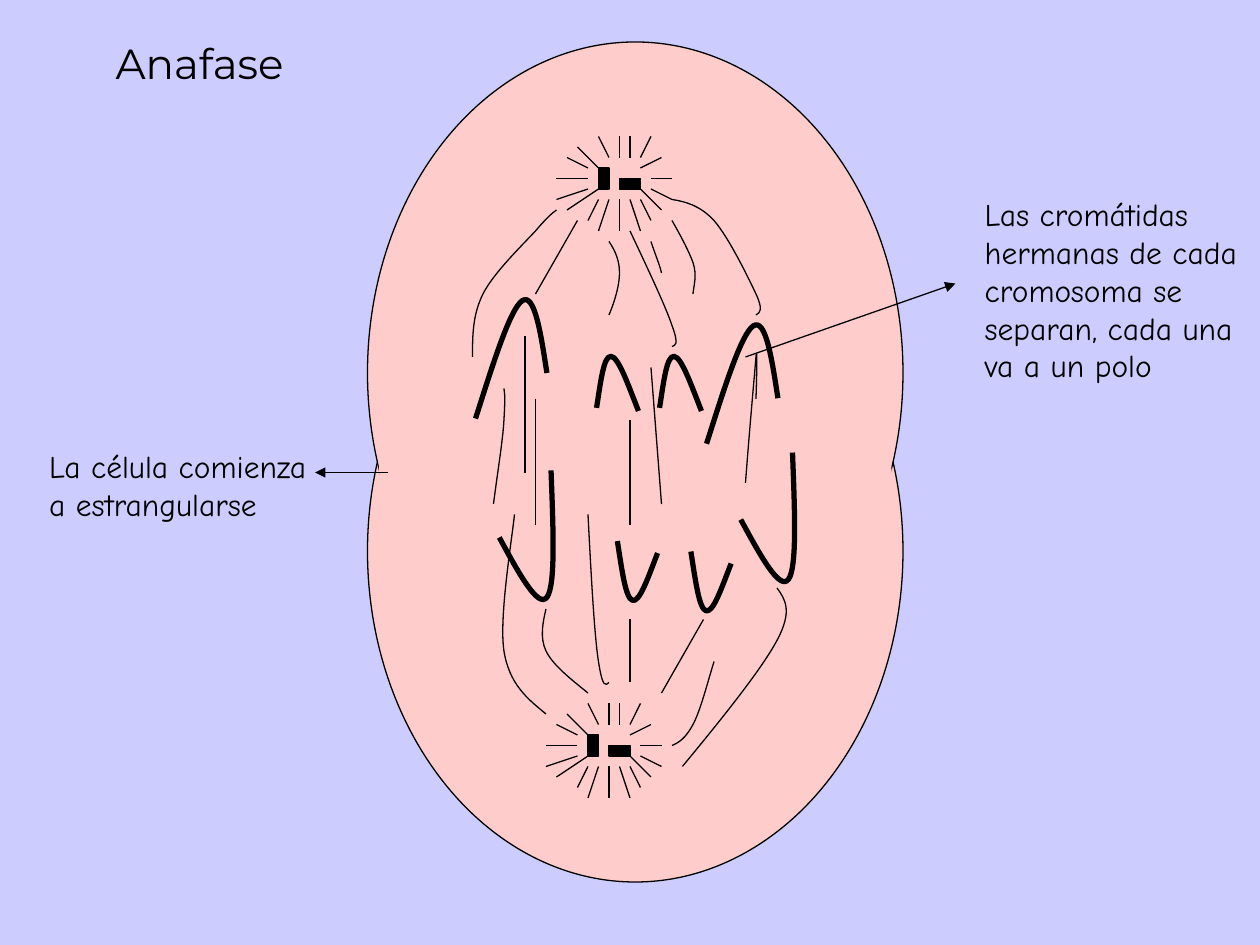
"""Builds a slide showing a cell in anaphase, with its spindle and labels."""
from typing import NamedTuple

from lxml.etree import Element, SubElement
from pptx import Presentation
from pptx.dml.color import RGBColor
from pptx.enum.shapes import MSO_CONNECTOR, MSO_SHAPE
from pptx.enum.text import MSO_AUTO_SIZE, PP_ALIGN
from pptx.oxml.ns import qn
from pptx.util import Pt

PX = 7620
COLORS = {"background": "CCCCFF", "cell": "FFCCCC", "ink": "000000", "title": "FF0000"}


class Box(NamedTuple):
    left: int
    top: int
    width: int
    height: int


class Line(NamedTuple):
    x1: int
    y1: int
    x2: int
    y2: int


class Point(NamedTuple):
    x: int
    y: int


class Chromatid(NamedTuple):
    outline: list
    corner: Point
    rotation: float


CELL_HALVES = [Box(350, 210, 510, 630), Box(350, 40, 510, 630)]
CYTOPLASM = [Box(360, 170, 240, 490), Box(600, 280, 250, 380), Box(470, 540, 250, 190)]
POLES = [Point(580, 710), Point(590, 170)]
UPRIGHT_CENTRIOLE = Box(-20, -10, 10, 20)
LYING_CENTRIOLE = Box(5, -5, 10, 20)
ASTER_RAYS = [
    Line(0, -20, 0, -40), Line(10, -20, 10, -40), Line(20, -20, 30, -40),
    Line(20, -10, 40, -20), Line(30, 0, 50, 0), Line(30, 10, 50, 20),
    Line(20, 10, 40, 30), Line(20, 20, 30, 40), Line(10, 20, 20, 50),
    Line(0, 20, 0, 50), Line(-10, 20, -20, 50), Line(-20, 20, -30, 40),
    Line(-20, 10, -50, 30), Line(-30, 10, -60, 20), Line(-30, 0, -60, 0),
    Line(-30, -10, -50, -20), Line(-40, -30, -20, -10), Line(-10, -20, -20, -40),
]
SHORT_ARMS = [(0, 0), (12, 25), (23, 50), (30, 50), (37, 50), (38, 25), (40, 0)]
LONG_ARMS = [(0, 40), (4, 78), (8, 117), (20, 110), (32, 103), (51, 51), (70, 0)]
CHROMATIDS = [
    Chromatid(SHORT_ARMS, Point(570, 340), 184.3),
    Chromatid(SHORT_ARMS, Point(580, 520), 16.6),
    Chromatid(LONG_ARMS, Point(450, 280), 177.2),
    Chromatid(LONG_ARMS, Point(480, 457), 337.4),
    Chromatid(SHORT_ARMS, Point(650, 530), 16.6),
    Chromatid(SHORT_ARMS, Point(630, 340), 184.3),
    Chromatid(LONG_ARMS, Point(670, 304), 177.2),
    Chromatid(LONG_ARMS, Point(710, 440), 337.4),
]
CURVED_FIBRES = [
    [(640, 710), (647, 707), (653, 703), (660, 690), (667, 677), (673, 653), (680, 630)],
    [(640, 210), (648, 224), (656, 239), (660, 250), (664, 262), (661, 271), (660, 280)],
    [(580, 230), (586, 239), (590, 248), (590, 260), (590, 271), (586, 286), (580, 300)],
    [(620, 230), (624, 242), (629, 254), (630, 260)],
    [(520, 580), (517, 593), (514, 607), (520, 620), (527, 634), (544, 647), (560, 660)],
    [(740, 560), (748, 571), (755, 582), (740, 610), (725, 638), (688, 684), (650, 730)],
    [(640, 330), (643, 329), (647, 329), (640, 310), (634, 292), (617, 256), (600, 220)],
    [(720, 300), (724, 298), (727, 295), (720, 280), (713, 265), (694, 226), (680, 210),
     (667, 196), (653, 192), (640, 190)],
    [(580, 650), (577, 653), (574, 656), (570, 630), (566, 604), (563, 547), (560, 490)],
    [(520, 680), (503, 666), (485, 652), (480, 620), (475, 588), (488, 511), (490, 490)],
    [(530, 200), (526, 203), (522, 206), (510, 220), (498, 233), (470, 260), (460, 280),
     (450, 300), (450, 320), (450, 340)],
    [(480, 370), (481, 376), (481, 382), (480, 400), (479, 419), (474, 449), (470, 480)],
    [(720, 380), (721, 353), (721, 326), (720, 340), (719, 353), (714, 407), (710, 460)],
]
STRAIGHT_FIBRES = [
    Line(600, 590, 600, 650), Line(550, 210, 510, 280), Line(670, 590, 630, 660),
    Line(500, 320, 500, 450), Line(510, 380, 510, 500), Line(600, 400, 600, 500),
    Line(620, 350, 630, 480),
]
POINTERS = [Line(710, 340, 910, 270), Line(370, 450, 300, 450)]


def rgb(color: str) -> RGBColor:
    return RGBColor.from_string(COLORS[color])


def emu(lengths) -> list[int]:
    return [round(length * PX) for length in lengths]


def ink_line(line, width: float = 0.75) -> None:
    line.color.rgb = rgb("ink")
    line.width = Pt(width)


def add_filled(slide, kind: MSO_SHAPE, box: Box, fill: str, outlined: bool = True,
               rotation: float = 0) -> None:
    shape = slide.shapes.add_shape(kind, *emu(box))
    shape.shadow.inherit = False
    shape.rotation = rotation
    shape.fill.solid()
    shape.fill.fore_color.rgb = rgb(fill)
    if outlined:
        ink_line(shape.line)
    else:
        shape.line.fill.background()


def add_line(slide, line: Line, arrow: bool = False) -> None:
    connector = slide.shapes.add_connector(MSO_CONNECTOR.STRAIGHT, *emu(line))
    ink_line(connector.line)
    if arrow:
        SubElement(connector.line._get_or_add_ln(), qn("a:tailEnd"), type="triangle")
    SubElement(connector._element.spPr, qn("a:effectLst"))


def add_curve(slide, knots: list, width: float = 0.75, rotation: float = 0) -> None:
    start, *rest = [emu(knot) for knot in knots]
    builder = slide.shapes.build_freeform(*start, scale=1.0)
    builder.add_line_segments(rest, close=False)
    curve = builder.convert_to_shape()
    segments = list(curve._element.iter(qn("a:lnTo")))
    for first in range(0, len(segments), 3):
        bend = Element(qn("a:cubicBezTo"))
        segments[first].addprevious(bend)
        for segment in segments[first:first + 3]:
            bend.append(segment[0])
            segment.getparent().remove(segment)
    curve.shadow.inherit = False
    curve.rotation = rotation
    curve.fill.background()
    ink_line(curve.line, width)


def add_text(slide, text: str, box: Box, *, font: str = "Comic Neue", size: int = 18,
             color: str = "ink", align: PP_ALIGN = PP_ALIGN.LEFT, grow: bool = True,
             outlined: bool = False) -> None:
    frame = slide.shapes.add_textbox(*emu(box)).text_frame
    frame.word_wrap = False
    frame.auto_size = MSO_AUTO_SIZE.SHAPE_TO_FIT_TEXT if grow else MSO_AUTO_SIZE.NONE
    frame.text = text
    for paragraph in frame.paragraphs:
        paragraph.alignment = align
        run = paragraph.runs[0]
        run.font.name = font
        run.font.size = Pt(size)
        run.font.color.rgb = rgb(color)
        if outlined:
            properties = run._r.get_or_add_rPr()
            SubElement(next(properties.iter(qn("a:srgbClr"))), qn("a:alpha"), val="50000")
            outline = Element(qn("a:ln"), w=str(Pt(1)))
            stroke = SubElement(outline, qn("a:solidFill"))
            SubElement(stroke, qn("a:srgbClr"), val=COLORS["ink"])
            properties.insert(0, outline)


def add_pole(slide, pole: Point) -> None:
    for (x, y, width, height), rotation in ((UPRIGHT_CENTRIOLE, 0), (LYING_CENTRIOLE, 270)):
        add_filled(slide, MSO_SHAPE.RECTANGLE,
                   Box(pole.x + x, pole.y + y, width, height), "ink", rotation=rotation)
    for x1, y1, x2, y2 in ASTER_RAYS:
        add_line(slide, Line(pole.x + x1, pole.y + y1, pole.x + x2, pole.y + y2))


def main() -> None:
    deck = Presentation()
    deck.slide_width, deck.slide_height = emu((1200, 900))
    slide = deck.slides.add_slide(deck.slide_layouts[6])
    slide.background.fill.solid()
    slide.background.fill.fore_color.rgb = rgb("background")

    for half in CELL_HALVES:
        add_filled(slide, MSO_SHAPE.OVAL, half, "cell")
    for patch in CYTOPLASM:
        add_filled(slide, MSO_SHAPE.OVAL, patch, "cell", outlined=False)
    for pole in POLES:
        add_pole(slide, pole)
    for outline, corner, rotation in CHROMATIDS:
        arms = [(corner.x + x, corner.y + y) for x, y in outline]
        add_curve(slide, arms, width=3, rotation=rotation)
    for fibre in CURVED_FIBRES:
        add_curve(slide, fibre)
    for fibre in STRAIGHT_FIBRES:
        add_line(slide, fibre)
    for pointer in POINTERS:
        add_line(slide, pointer, arrow=True)

    add_text(slide, "Anafase", Box(30, 30, 320, 110), font="Montserrat", size=24,
             color="title", align=PP_ALIGN.CENTER, grow=False, outlined=True)
    add_text(slide, "Las cromátidas\nhermanas de cada\ncromosoma se\n"
             "separan, cada una\nva a un polo", Box(926, 180, 270, 192))
    add_text(slide, "La célula comienza\na estrangularse", Box(35, 420, 270, 84))
    deck.save("out.pptx")


if __name__ == "__main__":
    main()
